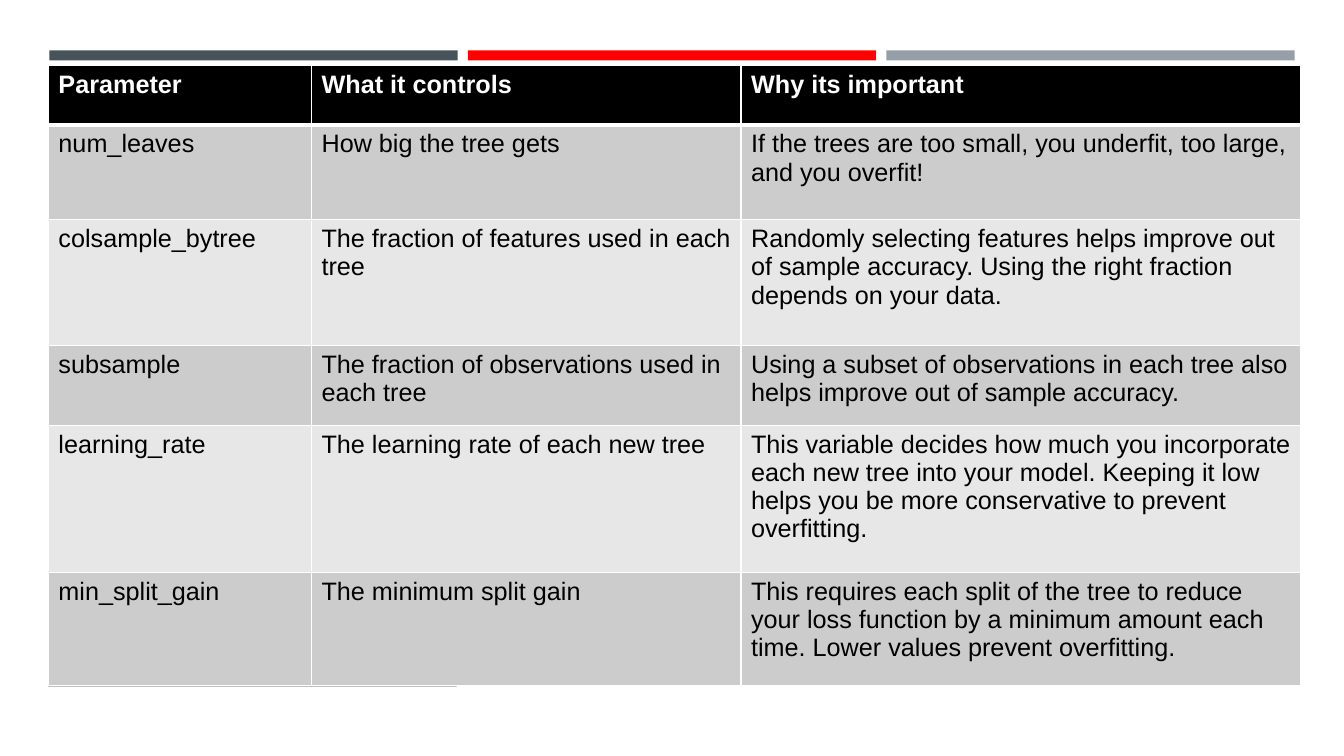
import pptx
import pptx.util
import pptx.dml.color
import pptx.enum.shapes
import lxml.etree
import pptx.oxml.ns

Inches = pptx.util.Inches
RGB = pptx.dml.color.RGBColor

ROWS = [
    ("Parameter", "What it controls", "Why its important"),
    ("num_leaves", "How big the tree gets",
     "If the trees are too small, you underfit, too large, and you overfit!"),
    ("colsample_bytree", "The fraction of features used in each tree",
     "Randomly selecting features helps improve out of sample accuracy. "
     "Using the right fraction depends on your data."),
    ("subsample", "The fraction of observations used in each tree",
     "Using a subset of observations in each tree also helps improve out "
     "of sample accuracy."),
    ("learning_rate", "The learning rate of each new tree",
     "This variable decides how much you incorporate each new tree into "
     "your model. Keeping it low helps you be more conservative to prevent "
     "overfitting."),
    ("min_split_gain", "The minimum split gain",
     "This requires each split of the tree to reduce your loss function by "
     "a minimum amount each time. Lower values prevent overfitting."),
]
WIDTHS = [2.61, 4.26, 5.55]
HEIGHTS = [0.59, 0.94, 1.25, 0.79, 1.46, 1.12]

BLACK = RGB(0x00, 0x00, 0x00)
WHITE = RGB(0xFF, 0xFF, 0xFF)
SLATE = RGB(0x46, 0x53, 0x59)
RED = RGB(0xFF, 0x00, 0x00)
GREY = RGB(0x96, 0x9F, 0xA7)
BANDS = [RGB(0xE7, 0xE7, 0xE7), RGB(0xCC, 0xCC, 0xCC)]

LEFT, TOP = 0.48, 0.65
BAR_LEFT, BAR_TOP, BAR_WIDTH, BAR_STEP = 0.49, 0.5, 4.05, 4.15


def add_block(slide, left, top, width, height, color):
    """Add a plain filled rectangle."""
    block = slide.shapes.add_shape(
        pptx.enum.shapes.MSO_SHAPE.RECTANGLE,
        Inches(left), Inches(top), Inches(width), Inches(height))
    block.shadow.inherit = False
    block.fill.solid()
    block.fill.fore_color.rgb = color
    block.line.fill.background()


def add_edge(cell, side, points):
    """Draw one white cell border; call before the cell is filled."""
    qn = pptx.oxml.ns.qn
    props = cell._tc.get_or_add_tcPr()
    edge = lxml.etree.SubElement(props, qn("a:" + side),
                                 w=str(pptx.util.Pt(points)))
    fill = lxml.etree.SubElement(edge, qn("a:solidFill"))
    lxml.etree.SubElement(fill, qn("a:srgbClr"), val=str(WHITE))


def style_cell(cell, text, row):
    """Write a cell and give it borders, fill and font."""
    head = row == 0
    edges = {"lnL": 1, "lnR": 1, "lnT": 3 if row == 1 else 1,
             "lnB": 3 if head else 1}
    for side, points in edges.items():
        add_edge(cell, side, points)
    cell.fill.solid()
    cell.fill.fore_color.rgb = BLACK if head else BANDS[row % 2]
    cell.text_frame.text = text
    font = cell.text_frame.paragraphs[0].runs[0].font
    font.name = "Arial"
    font.size = pptx.util.Pt(18)
    font.bold = head
    font.color.rgb = WHITE if head else BLACK


def add_grid(slide):
    """Add the table of parameters."""
    frame = slide.shapes.add_table(
        len(ROWS), len(WIDTHS), Inches(LEFT), Inches(TOP),
        Inches(sum(WIDTHS)), Inches(sum(HEIGHTS)))
    table = frame.table
    for column, width in zip(table.columns, WIDTHS):
        column.width = Inches(width)
    for row, (texts, height) in enumerate(zip(ROWS, HEIGHTS)):
        table.rows[row].height = Inches(height)
        for col, text in enumerate(texts):
            style_cell(table.cell(row, col), text, row)


deck = pptx.Presentation()
deck.slide_width, deck.slide_height = Inches(13.33), Inches(7.5)
slide = deck.slides.add_slide(deck.slide_layouts[6])
slide.background.fill.solid()
slide.background.fill.fore_color.rgb = WHITE

for index, color in enumerate([SLATE, RED, GREY]):
    add_block(slide, BAR_LEFT + index * BAR_STEP, BAR_TOP, BAR_WIDTH, 0.1, color)
add_block(slide, LEFT, 0.66, BAR_WIDTH, 6.15, SLATE)
add_grid(slide)

deck.save("out.pptx")
